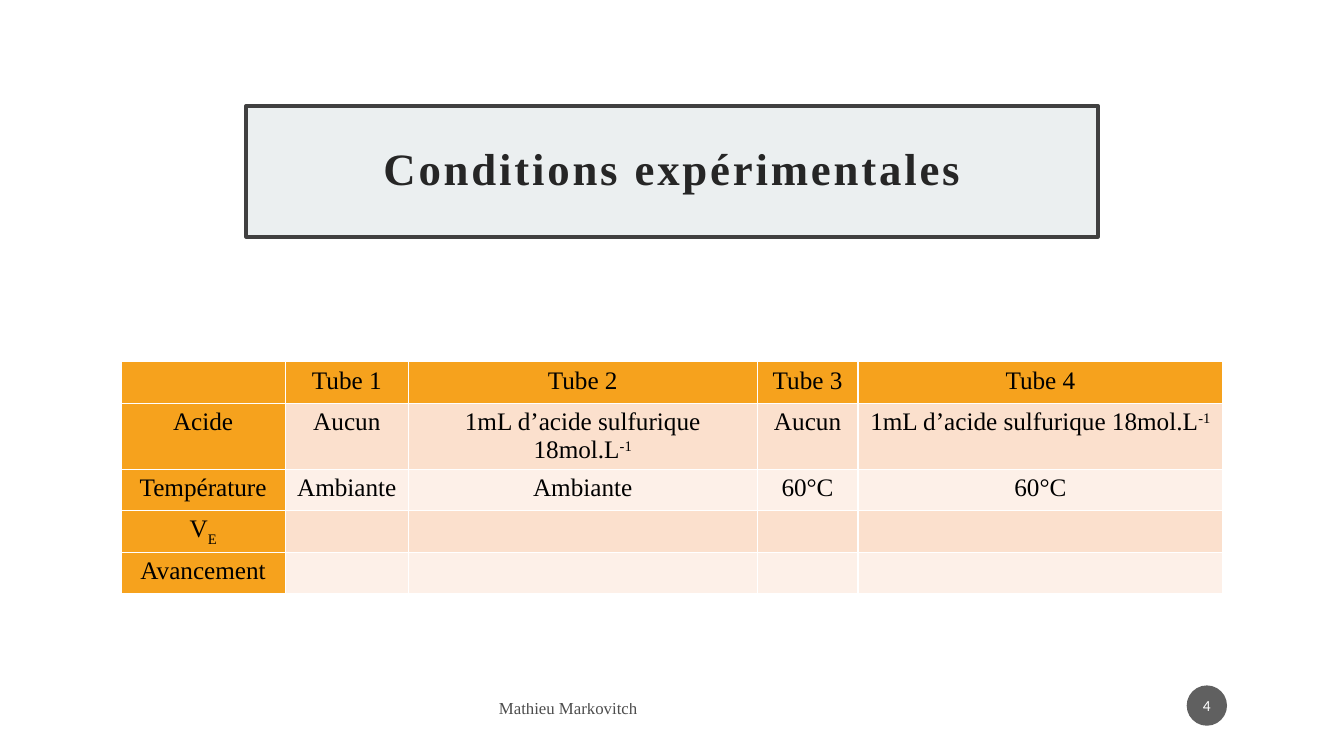
from lxml.etree import SubElement
from pptx import Presentation
from pptx.dml.color import RGBColor
from pptx.enum.shapes import MSO_SHAPE
from pptx.enum.text import MSO_ANCHOR, MSO_AUTO_SIZE, PP_ALIGN
from pptx.oxml.ns import qn
from pptx.util import Inches, Pt

SERIF = "Times New Roman"
ORANGE, PEACH, CREAM = "F6A21D", "FBE0CD", "FDF0E8"
COLS = [1.63, 1.22, 3.46, 1, 3.62]
ROW = 0.41
ACID = ("1mL d’acide sulfurique 18mol.L", "-1", 30000)
# A tuple holds the text, its index and the baseline shift of the index.
CELLS = [
    ["", "Tube 1", "Tube 2", "Tube 3", "Tube 4"],
    ["Acide", "Aucun", ACID, "Aucun", ACID],
    ["Température", "Ambiante", "Ambiante", "60°C", "60°C"],
    [("V", "E", -25000), "", "", "", ""],
    ["Avancement", "", "", "", ""],
]


def rgb(code):
    return RGBColor.from_string(code)


def fade(node, share):
    """Make the colours below node opaque to the given percentage."""
    for tint in node.iter(qn("a:srgbClr")):
        SubElement(tint, qn("a:alpha")).set("val", str(share * 1000))


def style(font, size, color, name=SERIF):
    font.size = Pt(size)
    font.name = name
    font.color.rgb = rgb(color)


def add_title(slide, text):
    title = slide.shapes.title
    title.left, title.top = Inches(2.44), Inches(1.05)
    title.width, title.height = Inches(8.45), Inches(1.3)
    title.fill.solid()
    title.fill.fore_color.rgb = rgb("EBEFF0")
    title.line.color.rgb = rgb("404040")
    title.line.width = Pt(2.5)
    frame = title.text_frame
    frame.text = text
    frame.word_wrap = True
    frame.auto_size = MSO_AUTO_SIZE.NONE
    frame.vertical_anchor = MSO_ANCHOR.MIDDLE
    frame.margin_left = frame.margin_right = Inches(0.2)
    frame.margin_top = frame.margin_bottom = Inches(0.2)
    para = frame.paragraphs[0]
    para.alignment = PP_ALIGN.CENTER
    para.line_spacing = 0.9
    run = para.runs[0]
    style(run.font, 32, "262626")
    run.font.bold = True
    run._r.get_or_add_rPr().set("spc", "200")


def add_edges(cell):
    props = cell._tc.get_or_add_tcPr()
    for side in ("lnL", "lnR", "lnT", "lnB"):
        edge = SubElement(props, qn("a:" + side), w=str(Pt(1)))
        fill = SubElement(edge, qn("a:solidFill"))
        SubElement(fill, qn("a:srgbClr"), val="FFFFFF")


def fill_cell(cell, value, color):
    add_edges(cell)
    cell.fill.solid()
    cell.fill.fore_color.rgb = rgb(color)
    text, index, shift = value if isinstance(value, tuple) else (value, "", 0)
    para = cell.text_frame.paragraphs[0]
    para.text = text
    para.alignment = PP_ALIGN.CENTER
    if index:
        run = para.add_run()
        run.text = index
        run._r.get_or_add_rPr().set("baseline", str(shift))
    style(para.font, 18, "000000")
    for run in para.runs:
        style(run.font, 18, "000000")


def add_grid(slide):
    count = len(CELLS)
    table = slide.shapes.add_table(
        count, len(COLS), Inches(1.2), Inches(3.59),
        Inches(sum(COLS)), Inches(ROW * count)).table
    for col, width in zip(table.columns, COLS):
        col.width = Inches(width)
    for r, line in enumerate(CELLS):
        table.rows[r].height = Inches(ROW)
        for c, value in enumerate(line):
            band = PEACH if r % 2 else CREAM
            head = r == 0 or c == 0
            fill_cell(table.cell(r, c), value, ORANGE if head else band)


def add_footer(slide, text):
    box = slide.shapes.add_textbox(
        Inches(4.85), Inches(6.85), Inches(1.72), Inches(0.35))
    frame = box.text_frame
    frame.text = text
    frame.word_wrap = True
    frame.vertical_anchor = MSO_ANCHOR.MIDDLE
    run = frame.paragraphs[0].runs[0]
    style(run.font, 12, "000000")
    fade(run._r, 70)


def add_badge(slide, text):
    badge = slide.shapes.add_shape(
        MSO_SHAPE.OVAL, Inches(11.77), Inches(6.8), Inches(0.4), Inches(0.4))
    badge.shadow.inherit = False
    badge.fill.solid()
    badge.fill.fore_color.rgb = rgb("1D1D1D")
    badge.line.fill.background()
    fade(badge._element.spPr, 70)
    frame = badge.text_frame
    frame.text = text
    frame.margin_left = frame.margin_right = Inches(0.02)
    frame.vertical_anchor = MSO_ANCHOR.MIDDLE
    para = frame.paragraphs[0]
    para.alignment = PP_ALIGN.CENTER
    style(para.runs[0].font, 11, "FFFFFF", "Calibri")


def main():
    deck = Presentation()
    deck.slide_width, deck.slide_height = Inches(13.33), Inches(7.5)
    slide = deck.slides.add_slide(deck.slide_layouts[5])
    add_title(slide, "Conditions expérimentales")
    add_grid(slide)
    add_footer(slide, "Mathieu Markovitch")
    add_badge(slide, "4")
    deck.save("out.pptx")


if __name__ == "__main__":
    main()
